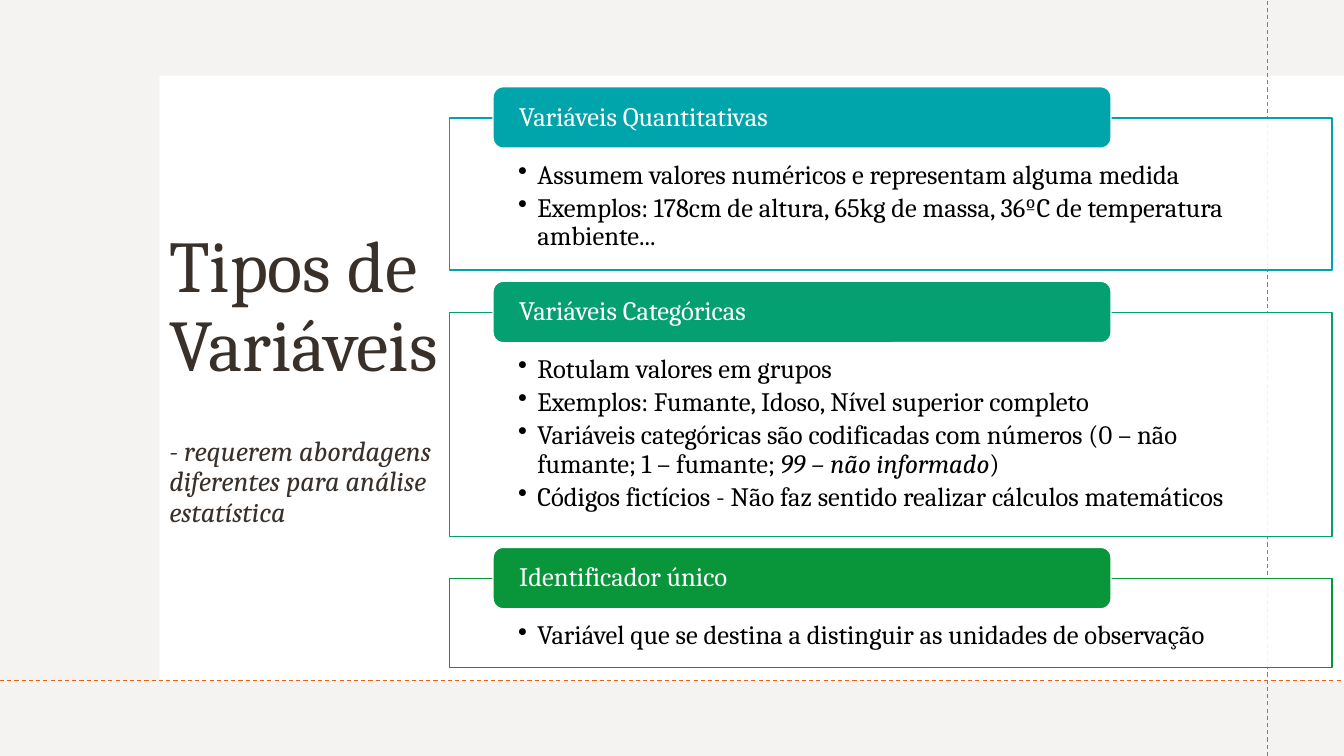
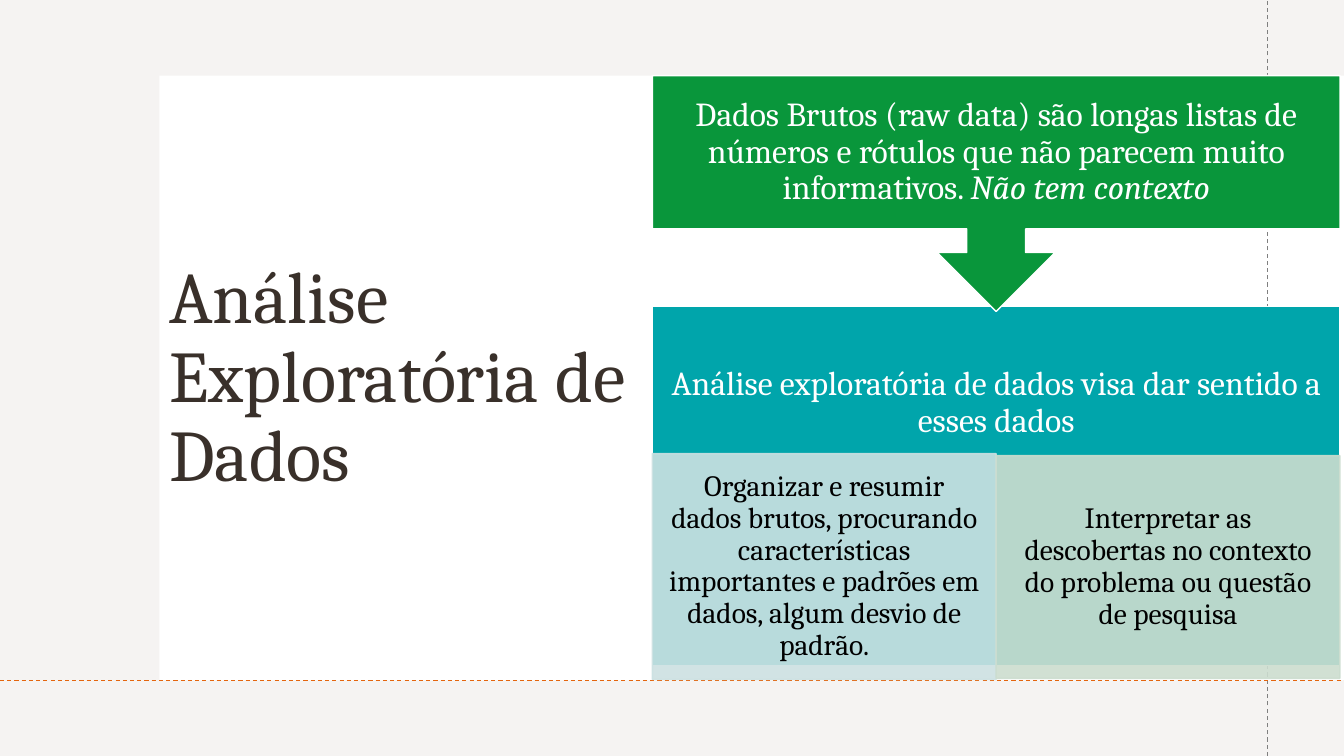
from dataclasses import dataclass

from lxml import etree
from pptx import Presentation
from pptx.dml.color import RGBColor
from pptx.enum.dml import MSO_LINE
from pptx.enum.shapes import MSO_CONNECTOR, MSO_SHAPE
from pptx.enum.text import MSO_ANCHOR, MSO_AUTO_SIZE, PP_ALIGN
from pptx.oxml.ns import qn
from pptx.util import Inches, Pt

RECT, ROUNDED = MSO_SHAPE.RECTANGLE, MSO_SHAPE.ROUNDED_RECTANGLE
CALLOUT = MSO_SHAPE.DOWN_ARROW_CALLOUT
LEFT, CENTER = PP_ALIGN.LEFT, PP_ALIGN.CENTER
TOP, MIDDLE = MSO_ANCHOR.TOP, MSO_ANCHOR.MIDDLE


@dataclass(frozen=True)
class Theme:
    font: str = "Cambria"
    white: str = "FFFFFF"
    black: str = "000000"
    ink: str = "39302A"
    tint: str = "E5DEDB"
    orange: str = "E4650E"
    grey: str = "7F7F7F"
    teal: str = "00A5AB"
    jade: str = "05A071"
    green: str = "09963B"
    pale_teal: str = "CCE1E2"
    pale_green: str = "CCDDCF"
    title: int = 52
    subtitle: int = 20
    listing: int = 19
    statement: int = 24
    detail: int = 21


THEME = Theme()

# Content: a paragraph is a list of (text, italic) spans
TYPES_TITLE = "Tipos de Variáveis"
TYPES_NOTE = "- requerem abordagens diferentes para análise estatística"
VARIABLE_TYPES = [  # heading, colour, panel height, bullets
    ("Variáveis Quantitativas", THEME.teal, 1.51, [
        [("Assumem valores numéricos e representam alguma medida", False)],
        [("Exemplos: 178cm de altura, 65kg de massa, 36ºC de temperatura ambiente...", False)],
    ]),
    ("Variáveis Categóricas", THEME.jade, 2.22, [
        [("Rotulam valores em grupos", False)],
        [("Exemplos: Fumante, Idoso, Nível superior completo", False)],
        [("Variáveis categóricas são codificadas com números (0 – não fumante; 1 – fumante; ", False),
         ("99 – não informado", True), (")", False)],
        [("Códigos fictícios - Não faz sentido realizar cálculos matemáticos", False)],
    ]),
    ("Identificador único", THEME.green, 0.88, [
        [("Variável que se destina a distinguir as unidades de observação", False)],
    ]),
]
ANALYSIS_TITLE = "Análise Exploratória de Dados"
RAW_DATA = [("Dados Brutos (raw data) são longas listas de números e rótulos que não "
             "parecem muito informativos. ", False), ("Não tem contexto", True)]
PURPOSE = [("Análise exploratória de dados visa dar sentido a esses dados", False)]
TASKS = [  # text, colour, top, height
    ("Organizar e resumir dados brutos, procurando características importantes e "
     "padrões em dados, algum desvio de padrão.", THEME.pale_teal, 4.5, 2.24),
    ("Interpretar as descobertas no contexto do problema ou questão de pesquisa",
     THEME.pale_green, 4.52, 2.21),
]


# Drawing helpers
def set_alpha(color_format_parent, percent):
    for color in color_format_parent.iter(qn("a:srgbClr")):
        etree.SubElement(color, qn("a:alpha")).set("val", str(percent * 1000))


def add_box(page, kind, place, fill, line=None, alpha=100):
    box = page.shapes.add_shape(kind, *map(Inches, place))
    box.shadow.inherit = False
    box.fill.solid()
    box.fill.fore_color.rgb = RGBColor.from_string(fill)
    if line:
        box.line.color.rgb = RGBColor.from_string(line)
        box.line.width = Pt(1)
    else:
        box.line.fill.background()
    if alpha < 100:
        set_alpha(box.element.spPr.find(qn("a:solidFill")), alpha)
        if line == fill:
            set_alpha(box.element.spPr.find(qn("a:ln")), alpha)
    return box


def set_frame(frame, anchor, insets):
    frame.word_wrap = True
    frame.auto_size = MSO_AUTO_SIZE.NONE
    frame.vertical_anchor = anchor
    (frame.margin_left, frame.margin_top,
     frame.margin_right, frame.margin_bottom) = map(Inches, insets)


def write(para, spans, size, color, align=LEFT):
    para.alignment = align
    para.line_spacing = 0.9
    for text, italic in spans:
        span = para.add_run()
        span.text = text
        span.font.name = THEME.font
        span.font.size = Pt(size)
        span.font.italic = italic
        span.font.color.rgb = RGBColor.from_string(color)


def fill_text(box, paragraphs, size, color, insets, align=LEFT, anchor=MIDDLE):
    frame = box.text_frame
    set_frame(frame, anchor, insets)
    for index, spans in enumerate(paragraphs):
        para = frame.add_paragraph() if index else frame.paragraphs[0]
        write(para, spans, size, color, align)


def add_bullets(frame):
    indent = Inches(0.19)
    for para in frame.paragraphs:
        para.space_after = Pt(3)
        properties = para._p.get_or_add_pPr()
        properties.set("marL", str(indent))
        properties.set("indent", str(-indent))
        etree.SubElement(properties, qn("a:buChar")).set("char", "•")


def add_guide(page, start, end, color):
    guide = page.shapes.add_connector(MSO_CONNECTOR.STRAIGHT, *map(Inches, start + end))
    guide.line.color.rgb = RGBColor.from_string(color)
    guide.line.width = Pt(0.75)
    guide.line.dash_style = MSO_LINE.DASH
    etree.SubElement(guide.element.spPr, qn("a:effectLst"))


def add_page(deck, title_text, title_width, note=None):
    page = deck.slides.add_slide(deck.slide_layouts[5])
    add_box(page, RECT, (0, 0, 13.33, 7.5), THEME.tint, alpha=35)
    add_box(page, RECT, (1.58, 0.75, 11.75, 6), THEME.white)
    # Title, raised above the bands
    title = page.shapes.title
    title.element.getparent().append(title.element)
    title.left, title.top, title.width, title.height = map(
        Inches, (1.58, 1.04, title_width, 5.44))
    frame = title.text_frame
    set_frame(frame, MIDDLE, (0.1, 0.05, 0.1, 0.05))
    write(frame.paragraphs[0], [(title_text, False)], THEME.title, THEME.ink)
    if note:
        para = frame.add_paragraph()
        para.space_before = Pt(36)
        write(para, [(note, True)], THEME.subtitle, THEME.ink)
    # Dashed guides
    add_guide(page, (12.57, 7.5), (12.57, 0), THEME.grey)
    add_guide(page, (0, 6.75), (13.33, 6.75), THEME.orange)
    return page


deck = Presentation()
deck.slide_width, deck.slide_height = Inches(13.33), Inches(7.5)

# Slide 1: one framed list for each type of variable
page = add_page(deck, TYPES_TITLE, 3.35, TYPES_NOTE)
panel_top, panel_gap, overlap = 1.17, 0.42, 0.31
for heading, color, height, bullets in VARIABLE_TYPES:
    panel = add_box(page, RECT, (4.46, panel_top, 8.75, height), THEME.white, color, 90)
    fill_text(panel, bullets, THEME.listing, THEME.black,
              (0.68, 0.43, 0.68, 0.15), anchor=TOP)
    add_bullets(panel.text_frame)
    label = add_box(page, ROUNDED, (4.89, panel_top - overlap, 6.13, 0.61),
                    color, THEME.white)
    fill_text(label, [[(heading, False)]], THEME.listing, THEME.white, (0.23, 0, 0.23, 0))
    panel_top += height + panel_gap

# Slide 2: raw data lead down to the analysis and its two tasks
page = add_page(deck, ANALYSIS_TITLE, 4.89)
flow_left, flow_width = 6.47, 6.82
purpose = add_box(page, RECT, (flow_left, 3.04, flow_width, 3.56), THEME.teal, THEME.white)
fill_text(purpose, [PURPOSE], THEME.statement, THEME.white,
          (0.19, 0.19, 0.19, 1.83), CENTER)
task_width = flow_width / len(TASKS)
for column, (text, color, top, height) in enumerate(TASKS):
    task = add_box(page, RECT, (flow_left + column * task_width, top, task_width, height),
                   color, color, 90)
    fill_text(task, [[(text, False)]], THEME.detail, THEME.black,
              (0.16, 0.03, 0.16, 0.03), CENTER)
raw_data = add_box(page, CALLOUT, (flow_left, 0.75, flow_width, 2.34),
                   THEME.green, THEME.white)
fill_text(raw_data, [RAW_DATA], THEME.statement, THEME.white,
          (0.19, 0.19, 0.19, 0.19), CENTER)

deck.save("out.pptx")
